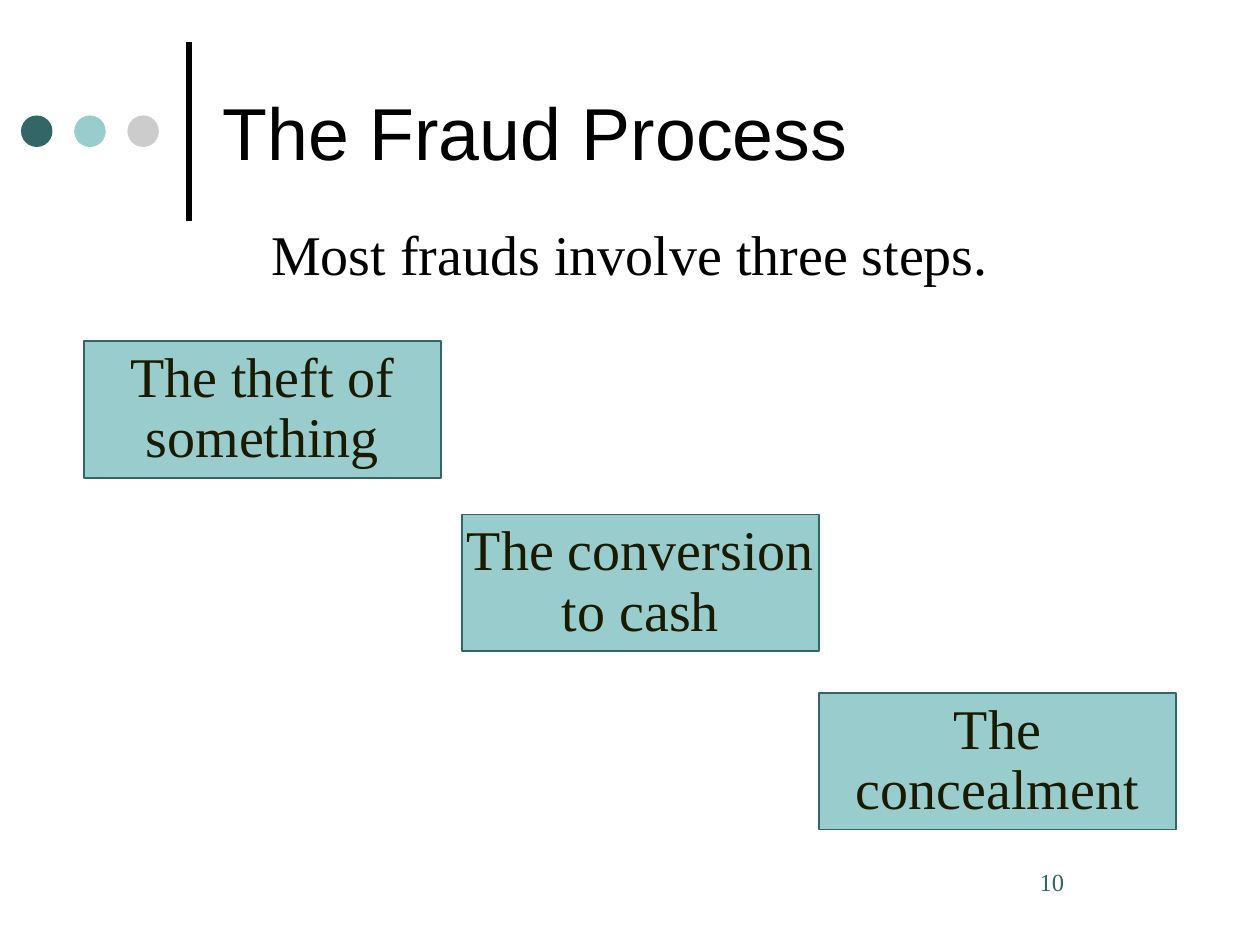
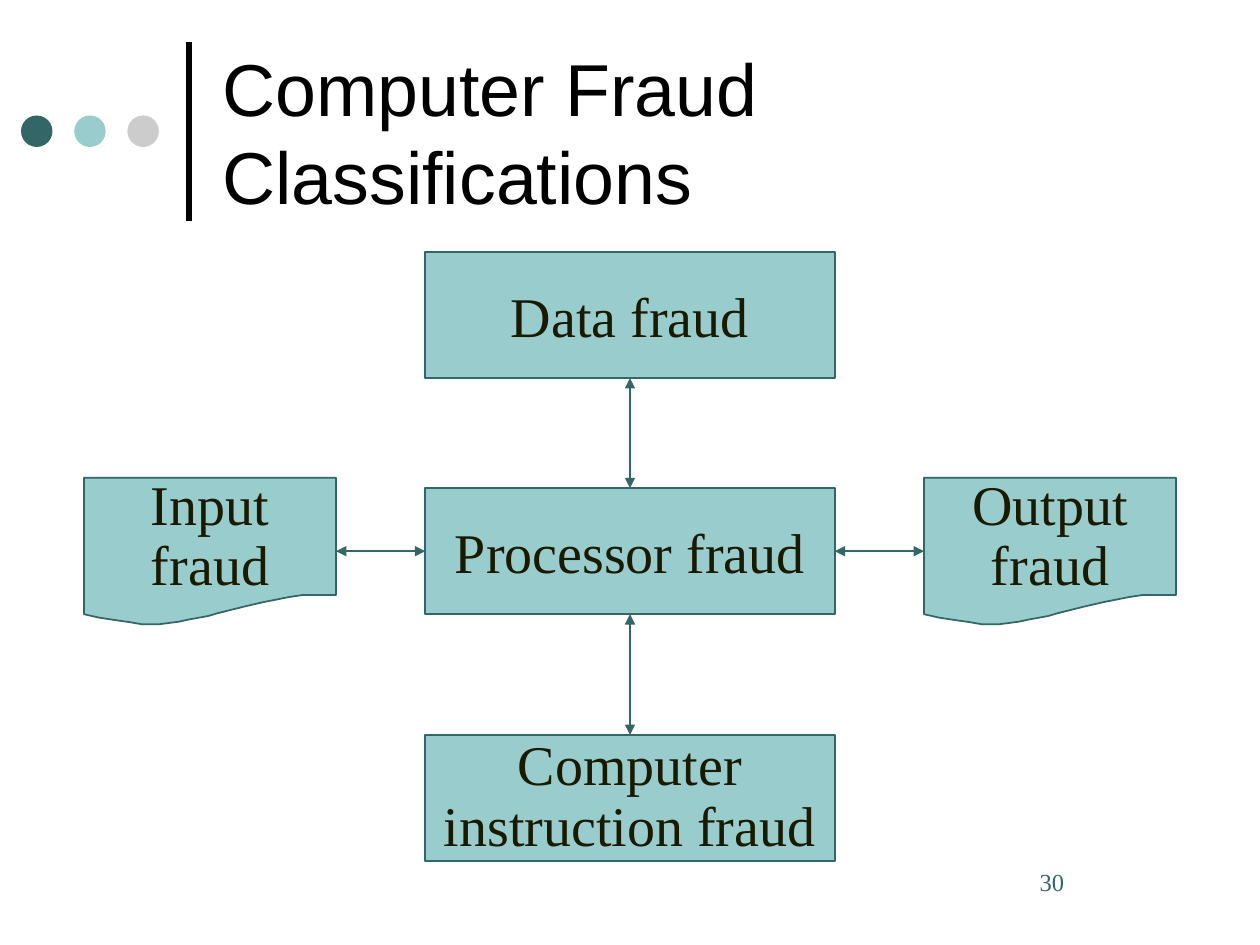
import dataclasses

import lxml.etree
import pptx
import pptx.dml.color
import pptx.enum.shapes
import pptx.enum.text
import pptx.oxml.ns
import pptx.util

Pt = pptx.util.Pt
qn = pptx.oxml.ns.qn
MSO_SHAPE = pptx.enum.shapes.MSO_SHAPE
PP_ALIGN = pptx.enum.text.PP_ALIGN
MSO_ANCHOR = pptx.enum.text.MSO_ANCHOR
TOP, LEFT, BOTTOM, RIGHT = range(4)


@dataclasses.dataclass(frozen=True)
class Theme:
    black: str = "000000"
    teal: str = "336666"
    aqua: str = "99CCCC"
    grey: str = "CCCCCC"
    label: str = "1A1A00"
    heading_font: str = "Arial"
    text_font: str = "Times New Roman"
    heading_size: float = 42
    text_size: float = 32
    number_size: float = 14
    rule_width: float = 3
    outline_width: float = 1
    tight: float = 0.9


# Wavy document outline, in points from its top left corner
DOCUMENT_SIZE = (144, 84)
DOCUMENT_OUTLINE = [
    (0, 78), (9, 80), (19, 81.5), (26, 82.5), (33, 83.7), (43, 83.7),
    (50, 82.8), (54, 82.3), (60, 81), (71, 79), (76, 77.5), (82, 76),
    (92, 73.5), (103, 71), (117, 68.2), (125, 67), (144, 67), (144, 0), (0, 0),
]


def rgb(colour):
    return pptx.dml.color.RGBColor.from_string(colour)


class Deck:
    """Holds the theme and the slide being drawn."""

    def __init__(self, theme):
        self.theme = theme
        self.presentation = pptx.Presentation()
        self.presentation.slide_width = Pt(720)
        self.presentation.slide_height = Pt(540)
        self.slide = None

    def start_slide(self, heading, number):
        layout = self.presentation.slide_layouts.get_by_name("Title Only")
        self.slide = self.presentation.slides.add_slide(layout)
        theme = self.theme
        # Rule and dots beside the title
        self.line((108, 126), (108, 24), theme.black, theme.rule_width)
        for i, colour in enumerate((theme.teal, theme.aqua, theme.grey)):
            self.shape(MSO_SHAPE.OVAL, 12 + 30.4 * i, 66, 18, 18, colour)
        # Title
        title = self.slide.shapes.title
        title.left, title.top, title.width, title.height = map(Pt, (120, 15, 552, 120))
        self.set_text(title.text_frame, heading, theme.heading_size, theme.black,
                      font=theme.heading_font, align=PP_ALIGN.LEFT,
                      anchor=MSO_ANCHOR.MIDDLE, wrap=True)
        # Slide number
        self.text(570, 492, 102, 36, number, theme.number_size, theme.teal,
                  align=PP_ALIGN.LEFT, indent=17, wrap=True)

    def set_text(self, frame, text, size, colour, font=None, align=PP_ALIGN.CENTER,
                 anchor=MSO_ANCHOR.TOP, wrap=False, indent=0):
        frame.text = text
        frame.auto_size = pptx.enum.text.MSO_AUTO_SIZE.NONE
        frame.word_wrap = wrap
        frame.vertical_anchor = anchor
        for paragraph in frame.paragraphs:
            if indent:
                paragraph._p.get_or_add_pPr().set("marL", str(Pt(indent)))
            paragraph.alignment = align
            if len(frame.paragraphs) > 1:
                paragraph.line_spacing = self.theme.tight
            paragraph.font.name = font or self.theme.text_font
            paragraph.font.size = Pt(size)
            paragraph.font.color.rgb = rgb(colour)

    def set_label(self, frame, text):
        self.set_text(frame, text, self.theme.text_size, self.theme.label,
                      anchor=MSO_ANCHOR.MIDDLE)

    def text(self, left, top, width, height, text, size, colour, **style):
        box = self.slide.shapes.add_textbox(*map(Pt, (left, top, width, height)))
        self.set_text(box.text_frame, text, size, colour, **style)

    def paint(self, shape, fill, outline=None):
        shape.shadow.inherit = False
        shape.fill.solid()
        shape.fill.fore_color.rgb = rgb(fill)
        if outline:
            shape.line.color.rgb = rgb(outline)
            shape.line.width = Pt(self.theme.outline_width)
        else:
            shape.line.fill.background()

    def shape(self, preset, left, top, width, height, fill, outline=None):
        shape = self.slide.shapes.add_shape(preset, *map(Pt, (left, top, width, height)))
        self.paint(shape, fill, outline)
        return shape

    def box(self, left, top, width, height, label):
        box = self.shape(MSO_SHAPE.RECTANGLE, left, top, width, height,
                         self.theme.aqua, self.theme.teal)
        self.set_label(box.text_frame, label)
        return box

    def document(self, left, top, label):
        group = self.slide.shapes.add_group_shape()
        start, *rest = [(Pt(x), Pt(y)) for x, y in DOCUMENT_OUTLINE]
        builder = group.shapes.build_freeform(*start)
        builder.add_line_segments(rest, close=True)
        page = builder.convert_to_shape(Pt(left), Pt(top))
        self.paint(page, self.theme.aqua, self.theme.teal)
        caption = group.shapes.add_textbox(Pt(left + 8), Pt(top + 4), Pt(128), Pt(60))
        self.set_label(caption.text_frame, label)

    def line(self, start, end, colour, width):
        line = self.slide.shapes.add_connector(
            pptx.enum.shapes.MSO_CONNECTOR.STRAIGHT, *map(Pt, (*start, *end)))
        line.line.color.rgb = rgb(colour)
        line.line.width = Pt(width)
        lxml.etree.SubElement(line._element.spPr, qn("a:effectLst"))
        return line

    def arrow(self, start, end, begin=None, finish=None):
        """Two-headed arrow; begin and finish are (shape, side) pairs."""
        arrow = self.line(start, end, self.theme.teal, self.theme.outline_width)
        outline = arrow._element.spPr.find(qn("a:ln"))
        for tip in ("a:headEnd", "a:tailEnd"):
            lxml.etree.SubElement(outline, qn(tip), type="triangle")
        if begin:
            arrow.begin_connect(*begin)
        if finish:
            arrow.end_connect(*finish)


def fraud_process(deck):
    deck.start_slide("The Fraud Process", "10")
    deck.text(36, 122, 648, 45, "Most frauds involve three steps.",
              deck.theme.text_size, deck.theme.black, wrap=True)
    # Three descending steps
    steps = [(48, 195, "The theft of\nsomething"),
             (264, 294, "The conversion\nto cash"),
             (468, 396, "The\nconcealment")]
    for left, top, label in steps:
        deck.box(left, top, 204, 78, label)


def fraud_classifications(deck):
    deck.start_slide("Computer Fraud Classifications", "30")
    # Central column
    left, width, height, centre = 243, 234, 72, 360
    instruction_top, processor_top, data_top = 420, 279, 144
    instruction = deck.box(left, instruction_top, width, height,
                           "Computer\ninstruction fraud")
    processor = deck.box(left, processor_top, width, height, "Processor fraud")
    data = deck.box(left, data_top, width, height, "Data fraud")
    # Input and output documents, level with the processor
    page_width, page_height = DOCUMENT_SIZE
    middle = processor_top + height / 2
    input_left, output_left = 48, 528
    for page_left, label in ((input_left, "Input\nfraud"), (output_left, "Output\nfraud")):
        deck.document(page_left, middle - page_height / 2, label)
    # Arrows around the processor
    deck.arrow((centre, processor_top), (centre, data_top + height),
               (processor, TOP), (data, BOTTOM))
    deck.arrow((centre, instruction_top), (centre, processor_top + height),
               (instruction, TOP), (processor, BOTTOM))
    deck.arrow((input_left + page_width, middle), (left, middle),
               finish=(processor, LEFT))
    deck.arrow((left + width, middle), (output_left, middle),
               begin=(processor, RIGHT))


def main():
    deck = Deck(Theme())
    fraud_process(deck)
    fraud_classifications(deck)
    deck.presentation.save("out.pptx")


if __name__ == "__main__":
    main()
